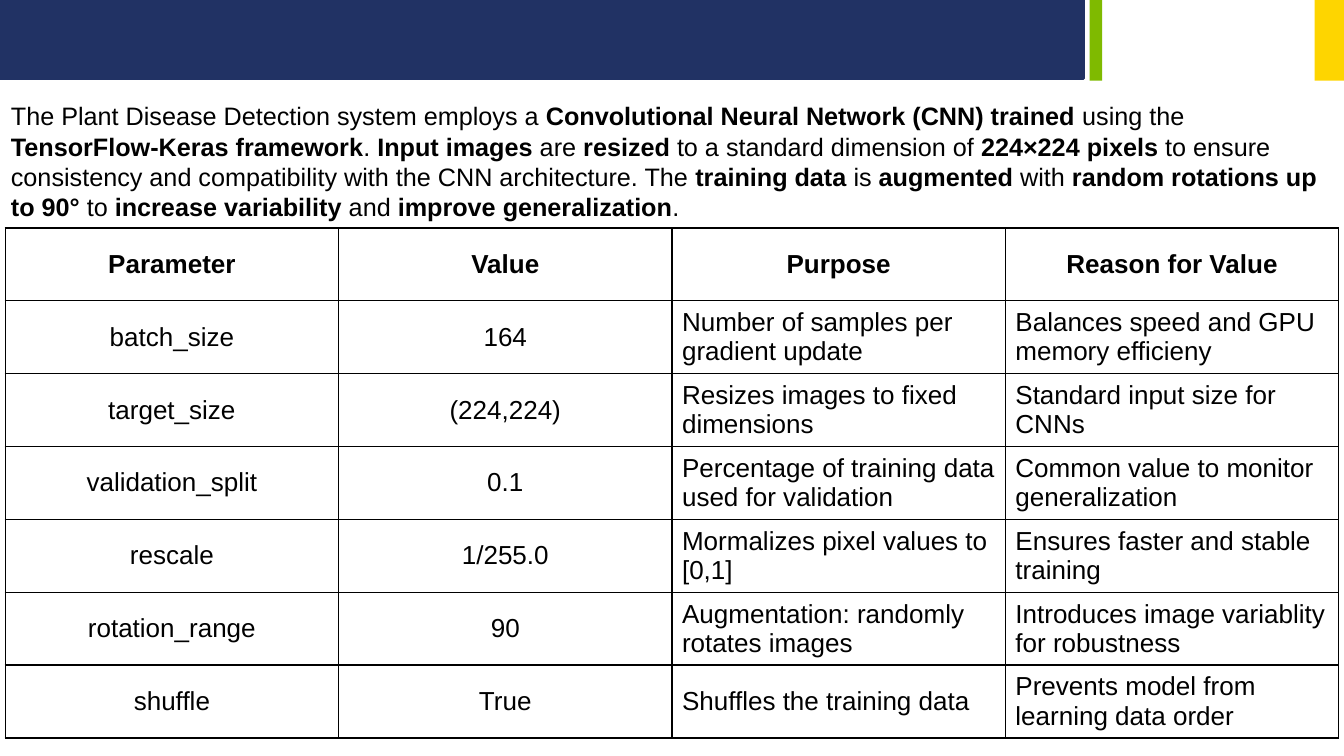
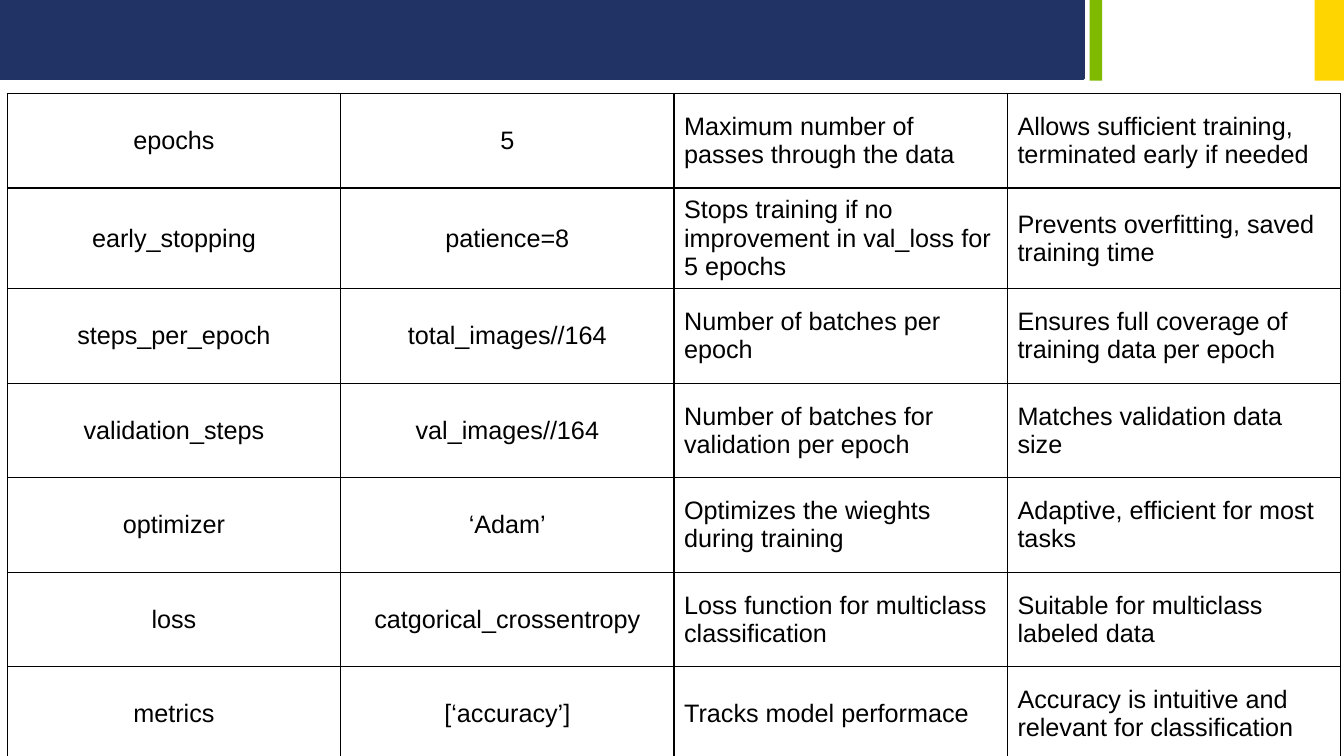
from dataclasses import dataclass

from lxml import etree
from pptx import Presentation
from pptx.dml.color import RGBColor
from pptx.enum.shapes import MSO_SHAPE
from pptx.enum.text import MSO_ANCHOR, PP_ALIGN
from pptx.oxml.ns import qn
from pptx.presentation import Presentation as Deck
from pptx.slide import Slide
from pptx.table import _Cell
from pptx.text.text import Font
from pptx.util import Pt

RECTANGLE = MSO_SHAPE.RECTANGLE
MIDDLE = MSO_ANCHOR.MIDDLE
CENTER, LEFT = PP_ALIGN.CENTER, PP_ALIGN.LEFT

# Shared look
NAVY, GREEN, YELLOW, BLACK = "213264", "7FBA00", "FED500", "000000"
FONT_NAME = "Arial"
SLIDE_WIDTH, SLIDE_HEIGHT = 960, 540
COLUMN_WIDTH = 238.15
CENTERED_COLUMNS = 2
BORDER_WIDTH = 1
BLANK_LAYOUT = 6


@dataclass(frozen=True)
class Band:
    left: float
    width: float
    height: float
    color: str
    line_width: float = 0


@dataclass(frozen=True)
class ParameterTable:
    left: float
    top: float
    row_heights: list[float]
    font_size: float
    rows: list[tuple[str, str, str, str]]
    has_header: bool = False


HEADER_BANDS = [
    Band(0, 774, 56.2, NAVY, 2),
    Band(778.3, 8.9, 57.6, GREEN),
    Band(939, 21, 57.6, YELLOW),
]

# Bold passages stand between double asterisks
INTRODUCTION = (
    "The Plant Disease Detection system employs a "
    "**Convolutional Neural Network (CNN) trained** using the "
    "**TensorFlow-Keras framework**. **Input images** are **resized** "
    "to a standard dimension of **224×224 pixels** to ensure consistency "
    "and compatibility with the CNN architecture. The **training data** is "
    "**augmented** with **random rotations up to 90°** to"
    "** increase variability** and** improve generalization**."
)

DATA_PARAMETERS = ParameterTable(
    left=3.7, top=162.8, row_heights=[52.05] * 7, font_size=18.6, has_header=True,
    rows=[
        ("Parameter", "Value", "Purpose", "Reason for Value"),
        ("batch_size", "164", "Number of samples per gradient update",
         "Balances speed and GPU memory efficieny"),
        ("target_size", "(224,224)", "Resizes images to fixed dimensions",
         "Standard input size for CNNs"),
        ("validation_split", "0.1", "Percentage of training data used for validation",
         "Common value to monitor generalization"),
        ("rescale", "1/255.0", "Mormalizes pixel values to [0,1]",
         "Ensures faster and stable training"),
        ("rotation_range", "90", "Augmentation: randomly rotates images",
         "Introduces image variablity for robustness"),
        ("shuffle", "True", "Shuffles the training data",
         "Prevents model from learning data order"),
    ],
)

TRAINING_PARAMETERS = ParameterTable(
    left=5.2, top=66.8, row_heights=[67.5, 72] + [67.5] * 5, font_size=18,
    rows=[
        ("epochs", "5", "Maximum number of passes through the data",
         "Allows sufficient training, terminated early if needed"),
        ("early_stopping", "patience=8",
         "Stops training if no improvement in val_loss for 5 epochs",
         "Prevents overfitting, saved training time"),
        ("steps_per_epoch", "total_images//164", "Number of batches per epoch",
         "Ensures full coverage of training data per epoch"),
        ("validation_steps", "val_images//164",
         "Number of batches for validation per epoch",
         "Matches validation data size"),
        ("optimizer", "‘Adam’", "Optimizes the wieghts during training",
         "Adaptive, efficient for most tasks"),
        ("loss", "catgorical_crossentropy",
         "Loss function for multiclass classification",
         "Suitable for multiclass labeled data"),
        ("metrics", "[‘accuracy’]", "Tracks model performace",
         "Accuracy is intuitive and relevant for classification"),
    ],
)


def rgb(color: str) -> RGBColor:
    return RGBColor.from_string(color)


def format_font(font: Font, size: float, bold: bool) -> None:
    font.name = FONT_NAME
    font.size = Pt(size)
    font.bold = bold
    font.color.rgb = rgb(BLACK)


def add_banded_slide(presentation: Deck) -> Slide:
    """Add a slide with the coloured bands along its top."""
    slide = presentation.slides.add_slide(presentation.slide_layouts[BLANK_LAYOUT])
    for band in HEADER_BANDS:
        shape = slide.shapes.add_shape(
            RECTANGLE, Pt(band.left), Pt(0), Pt(band.width), Pt(band.height))
        shape.shadow.inherit = False
        shape.fill.solid()
        shape.fill.fore_color.rgb = rgb(band.color)
        if band.line_width:
            shape.line.color.rgb = rgb(band.color)
            shape.line.width = Pt(band.line_width)
        else:
            shape.line.fill.background()
    return slide


def add_introduction(slide: Slide, marked_text: str) -> None:
    box = slide.shapes.add_textbox(Pt(0.7), Pt(68.4), Pt(SLIDE_WIDTH), Pt(94.3))
    box.text_frame.word_wrap = True
    paragraph = box.text_frame.paragraphs[0]
    for index, passage in enumerate(marked_text.split("**")):
        run = paragraph.add_run()
        run.text = passage
        format_font(run.font, 18, bold=index % 2 == 1)


def add_borders(cell: _Cell) -> None:
    properties = cell._tc.get_or_add_tcPr()
    for index, side in enumerate(("lnL", "lnR", "lnT", "lnB")):
        line = etree.Element(qn(f"a:{side}"), w=str(Pt(BORDER_WIDTH)))
        fill = etree.SubElement(line, qn("a:solidFill"))
        etree.SubElement(fill, qn("a:srgbClr"), val=BLACK)
        properties.insert(index, line)


def add_parameter_table(slide: Slide, content: ParameterTable) -> None:
    column_count = len(content.rows[0])
    table = slide.shapes.add_table(
        len(content.rows), column_count, Pt(content.left), Pt(content.top),
        Pt(COLUMN_WIDTH * column_count), Pt(sum(content.row_heights))).table
    table.first_row = content.has_header
    table.horz_banding = False
    for column in table.columns:
        column.width = Pt(COLUMN_WIDTH)
    for row_index, texts in enumerate(content.rows):
        table.rows[row_index].height = Pt(content.row_heights[row_index])
        is_header = content.has_header and row_index == 0
        for column_index, text in enumerate(texts):
            cell = table.cell(row_index, column_index)
            cell.fill.background()
            add_borders(cell)
            cell.vertical_anchor = MIDDLE
            paragraph = cell.text_frame.paragraphs[0]
            paragraph.text = text
            is_centered = is_header or column_index < CENTERED_COLUMNS
            paragraph.alignment = CENTER if is_centered else LEFT
            format_font(paragraph.runs[0].font, content.font_size, is_header)


def main() -> None:
    presentation = Presentation()
    presentation.slide_width = Pt(SLIDE_WIDTH)
    presentation.slide_height = Pt(SLIDE_HEIGHT)

    # Data preparation
    slide = add_banded_slide(presentation)
    add_introduction(slide, INTRODUCTION)
    add_parameter_table(slide, DATA_PARAMETERS)

    # Training
    slide = add_banded_slide(presentation)
    add_parameter_table(slide, TRAINING_PARAMETERS)

    presentation.save("out.pptx")


if __name__ == "__main__":
    main()
